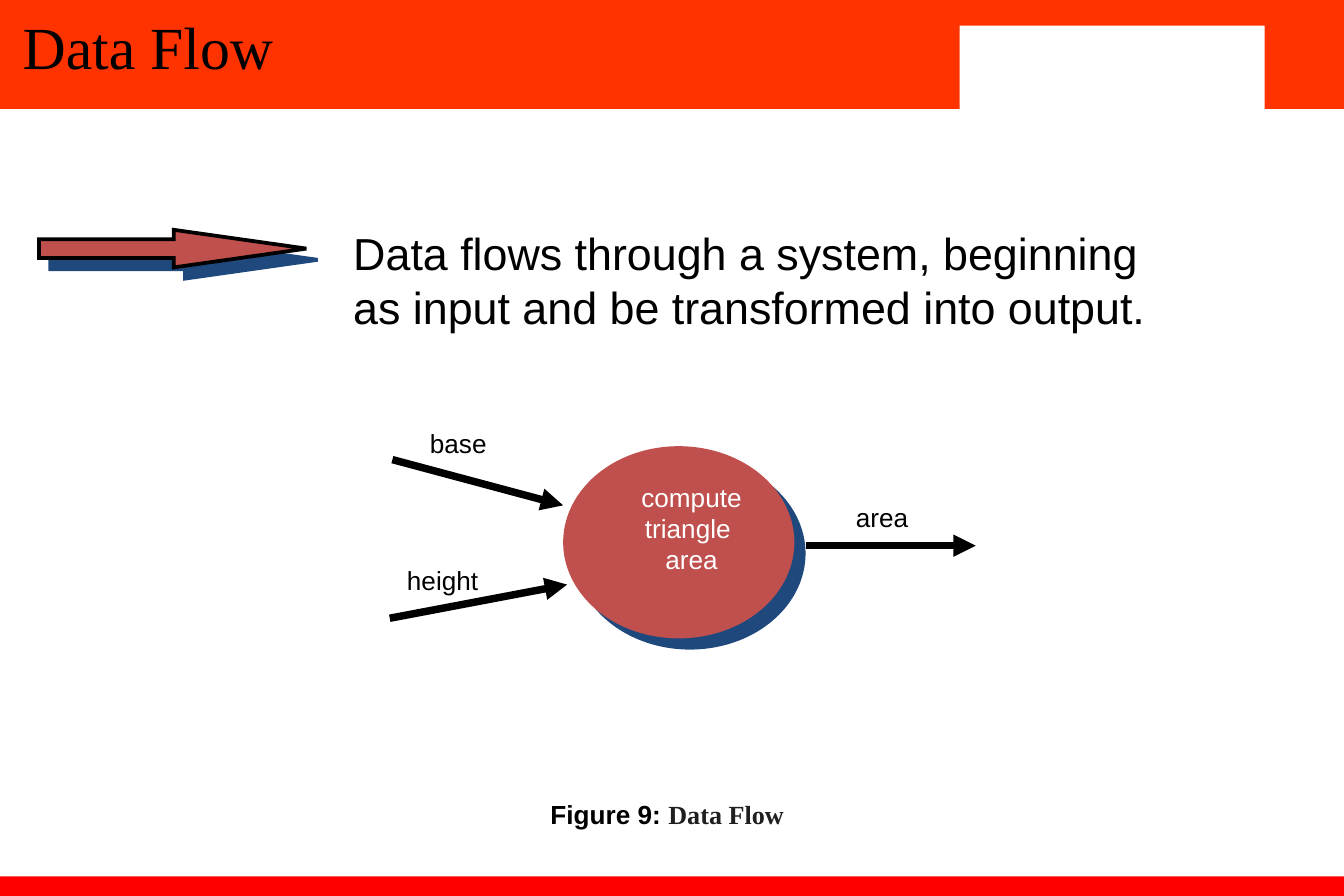
from lxml import etree
from pptx import Presentation
from pptx.dml.color import RGBColor
from pptx.enum import shapes as sh, text as tx
from pptx.oxml import ns
from pptx.util import Inches, Pt

ORANGE = RGBColor(0xFF, 0x33, 0x00)
RED = RGBColor(0xFF, 0x00, 0x00)
WHITE = RGBColor(0xFF, 0xFF, 0xFF)
BLACK = RGBColor(0x00, 0x00, 0x00)
INK = RGBColor(0x1F, 0x1F, 0x1F)
BRICK = RGBColor(0xC0, 0x50, 0x4D)
NAVY = RGBColor(0x1F, 0x49, 0x7D)
SANS, SERIF = "Arial", "Times New Roman"
LEFT, MID = tx.PP_ALIGN.LEFT, tx.PP_ALIGN.CENTER


def add_tag(parent, name, **attrs):
    """Append one DrawingML element and return it."""
    return etree.SubElement(parent, ns.qn(name), **attrs)


def add_form(slide, kind, box, fill):
    """Add a plain filled shape with no outline."""
    form = slide.shapes.add_shape(kind, *map(Inches, box))
    form.shadow.inherit = False
    form.fill.solid()
    form.fill.fore_color.rgb = fill
    form.line.fill.background()
    return form


def cast_shade(form):
    """Give a shape a hard navy shadow to the lower right."""
    effects = form._element.spPr.find(ns.qn("a:effectLst"))
    shade = add_tag(effects, "a:outerShdw", dist=str(Pt(8.5)),
                    dir=str(45 * 60000), algn="ctr", rotWithShape="0")
    add_tag(shade, "a:srgbClr", val=str(NAVY))


def add_text(slide, box, lines, align=LEFT, wrap=False):
    """Add a text box; each line is a list of (words, size, font, colour, bold)."""
    frame = slide.shapes.add_textbox(*map(Inches, box)).text_frame
    frame.word_wrap = wrap
    for i, line in enumerate(lines):
        para = frame.paragraphs[0] if i == 0 else frame.add_paragraph()
        para.alignment = align
        for words, size, face, color, bold in line:
            run = para.add_run()
            run.text = words
            run.font.size = Pt(size)
            run.font.name = face
            run.font.color.rgb = color
            run.font.bold = bold
    return frame


def add_flow(slide, start, end):
    """Draw a thick black arrow from start to end."""
    flow = slide.shapes.add_connector(sh.MSO_CONNECTOR.STRAIGHT,
                                      *map(Inches, start + end))
    flow.line.color.rgb = BLACK
    flow.line.width = Pt(4)
    add_tag(flow.line._get_or_add_ln(), "a:tailEnd", type="triangle")
    add_tag(flow._element.spPr, "a:effectLst")


def add_header(slide, x, y, w, h):
    """Place the orange band, its white notch and the title."""
    rect = sh.MSO_SHAPE.RECTANGLE
    add_form(slide, rect, (x, y, w, h), ORANGE)
    add_form(slide, rect, (x + 7.14, y + 0.19, 2.27, 0.66), WHITE)
    frame = add_text(slide, (x + 0.07, y + 0.08, 6.99, 0.58),
                     [[("Data Flow", 32, SERIF, BLACK, False)]], wrap=True)
    frame.vertical_anchor = tx.MSO_ANCHOR.MIDDLE
    frame.paragraphs[0].line_spacing = 0.9


def add_point(slide, x, y, w, h):
    """Place the pointing arrow and the statement beside it."""
    arrow = add_form(slide, sh.MSO_SHAPE.RIGHT_ARROW,
                     (x, y + 0.08, 1.99, 0.28), BRICK)
    arrow.adjustments[0] = 0.5
    arrow.adjustments[1] = 3.53
    arrow.line.color.rgb = BLACK
    arrow.line.width = Pt(2)
    add_tag(arrow.line._get_or_add_ln(), "a:miter", lim="800000")
    cast_shade(arrow)
    lines = ("Data flows through a system, beginning",
             "as input and be transformed into output.")
    add_text(slide, (x + 2.24, y, w - 2.24, h),
             [[(line, 24, SANS, BLACK, False)] for line in lines])


def add_graph(slide, x, y, w, h):
    """Place the process bubble with its input and output flows."""
    bubble = add_form(slide, sh.MSO_SHAPE.OVAL,
                      (x + 1.29, y + 0.19, 1.72, h - 0.19), BRICK)
    cast_shade(bubble)
    add_text(slide, (x + 1.77, y + 0.4, 0.95, 1.03),
             [[(word, 14, SANS, WHITE, False)]
              for word in ("compute", "triangle ", "area")], MID)
    flows = (("base", (0.2, 0, 0.62), (0.02, 0.29), (1.29, 0.63)),
             ("height", (0.03, 1.02, 0.73), (0, 1.47), (1.32, 1.22)),
             ("area", (3.37, 0.55, 0.59), (3.1, 0.93), (w, 0.93)))
    for name, (left, top, wide), start, end in flows:
        add_flow(slide, (x + start[0], y + start[1]), (x + end[0], y + end[1]))
        add_text(slide, (x + left, y + top, wide, 0.33),
                 [[(name, 14, SANS, BLACK, False)]])


def add_footer(slide, x, y, w, h):
    """Place the figure caption and the red strip."""
    add_form(slide, sh.MSO_SHAPE.RECTANGLE, (x, y + h - 0.19, w, 0.19), RED)
    add_text(slide, (x + 2.45, y, 5.03, 0.57),
             [[("Figure 9: ", 14, SANS, BLACK, True),
               ("Data Flow", 14, SERIF, INK, True)]], MID, True)


def main():
    """Build the slide and save it."""
    deck = Presentation()
    deck.slide_width = Inches(10)
    deck.slide_height = Inches(10 * 2 / 3)
    slide = deck.slides.add_slide(deck.slide_layouts[6])
    add_header(slide, 0, 0, 10, 0.81)
    add_point(slide, 0.29, 1.63, 8.33, 0.9)
    add_graph(slide, 2.9, 3.13, 4.36, 1.62)
    add_footer(slide, 0, 5.89, 10, 0.82)
    deck.save("out.pptx")


if __name__ == "__main__":
    main()
